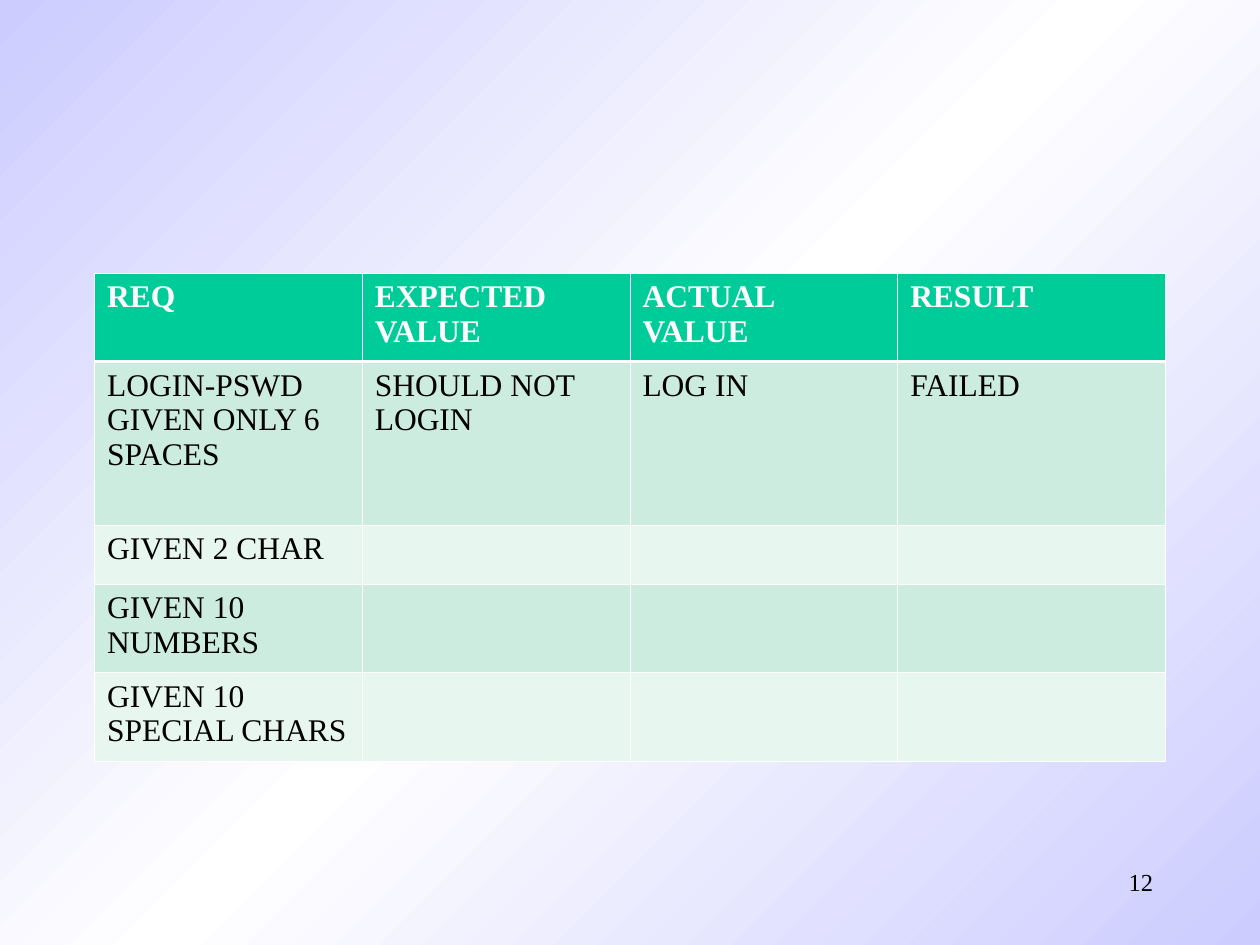
from copy import deepcopy
from dataclasses import dataclass

from lxml import etree
from pptx import Presentation
from pptx.dml.color import RGBColor
from pptx.enum.text import PP_ALIGN
from pptx.oxml.ns import qn
from pptx.util import Pt

RIGHT = PP_ALIGN.RIGHT


@dataclass(frozen=True)
class Theme:
    font: str = "Times New Roman"
    table_size: float = 18
    number_size: float = 14
    text: str = "000000"
    white: str = "FFFFFF"
    lavender: str = "CCCCFF"
    header: str = "00CC99"
    bands: tuple = ("CBECDE", "E7F6EF")
    thin: float = 0.45
    thick: float = 1.47


THEME = Theme()
ROW_HEIGHTS = (50.4, 93.6, 33.75, 50.4, 50.4)
TEST_CASES = (
    ("REQ", "EXPECTED VALUE", "ACTUAL VALUE", "RESULT"),
    ("LOGIN-PSWD\nGIVEN ONLY 6 SPACES", "SHOULD NOT LOGIN", "LOG IN", "FAILED"),
    ("GIVEN 2 CHAR", "", "", ""),
    ("GIVEN 10 NUMBERS", "", "", ""),
    ("GIVEN 10 SPECIAL CHARS", "", "", ""),
)


def rgb(value):
    return RGBColor.from_string(value)


def paint_background(slide):
    """Diagonal gradient: lavender, white, lavender."""
    fill = slide.background.fill
    fill.gradient()
    fill.gradient_angle = 315
    stop_list = slide.element.find(".//" + qn("a:gsLst"))
    stop_list.append(deepcopy(stop_list[-1]))
    colors = (THEME.lavender, THEME.white, THEME.lavender)
    for stop, position, color in zip(fill.gradient_stops, (0, 0.5, 1), colors):
        stop.position = position
        stop.color.rgb = rgb(color)


def write_text(frame, text, size, color, bold=False, alignment=None):
    frame.word_wrap = True
    for index, line in enumerate(text.split("\n")):
        paragraph = frame.paragraphs[0] if index == 0 else frame.add_paragraph()
        paragraph.alignment = alignment
        paragraph.font.size = Pt(size)
        if line:
            run = paragraph.add_run()
            run.text = line
            run.font.name = THEME.font
            run.font.size = Pt(size)
            run.font.bold = bold
            run.font.color.rgb = rgb(color)


def add_borders(cell, top, bottom):
    """White cell edges; the lines go before the fill."""
    properties = cell._tc.get_or_add_tcPr()
    edges = {"lnL": THEME.thin, "lnR": THEME.thin, "lnT": top, "lnB": bottom}
    for index, (tag, width) in enumerate(edges.items()):
        line = etree.Element(qn("a:" + tag), w=str(int(Pt(width))))
        fill = etree.SubElement(line, qn("a:solidFill"))
        etree.SubElement(fill, qn("a:srgbClr"), val=THEME.white)
        properties.insert(index, line)


def add_test_table(slide, left, top, width):
    column_count = len(TEST_CASES[0])
    table = slide.shapes.add_table(
        len(TEST_CASES), column_count,
        Pt(left), Pt(top), Pt(width), Pt(sum(ROW_HEIGHTS))).table
    for column in table.columns:
        column.width = Pt(width / column_count)
    for row_index, texts in enumerate(TEST_CASES):
        table.rows[row_index].height = Pt(ROW_HEIGHTS[row_index])
        is_header = row_index == 0
        fill_color = THEME.header if is_header else THEME.bands[(row_index - 1) % 2]
        text_color = THEME.white if is_header else THEME.text
        top_width = THEME.thick if row_index == 1 else THEME.thin
        bottom_width = THEME.thick if is_header else THEME.thin
        for cell, text in zip(table.rows[row_index].cells, texts):
            cell.fill.solid()
            cell.fill.fore_color.rgb = rgb(fill_color)
            write_text(cell.text_frame, text, THEME.table_size, text_color, is_header)
            add_borders(cell, top_width, bottom_width)


def add_page_number(slide, left, top, width, height):
    box = slide.shapes.add_textbox(Pt(left), Pt(top), Pt(width), Pt(height))
    write_text(box.text_frame, "12", THEME.number_size, THEME.text, alignment=RIGHT)


def main():
    presentation = Presentation()
    presentation.slide_width = Pt(720)
    presentation.slide_height = Pt(540)
    slide = presentation.slides.add_slide(presentation.slide_layouts[6])
    paint_background(slide)
    add_test_table(slide, 54, 156.25, 612)
    add_page_number(slide, 516, 492, 150, 36)
    presentation.save("out.pptx")


if __name__ == "__main__":
    main()
